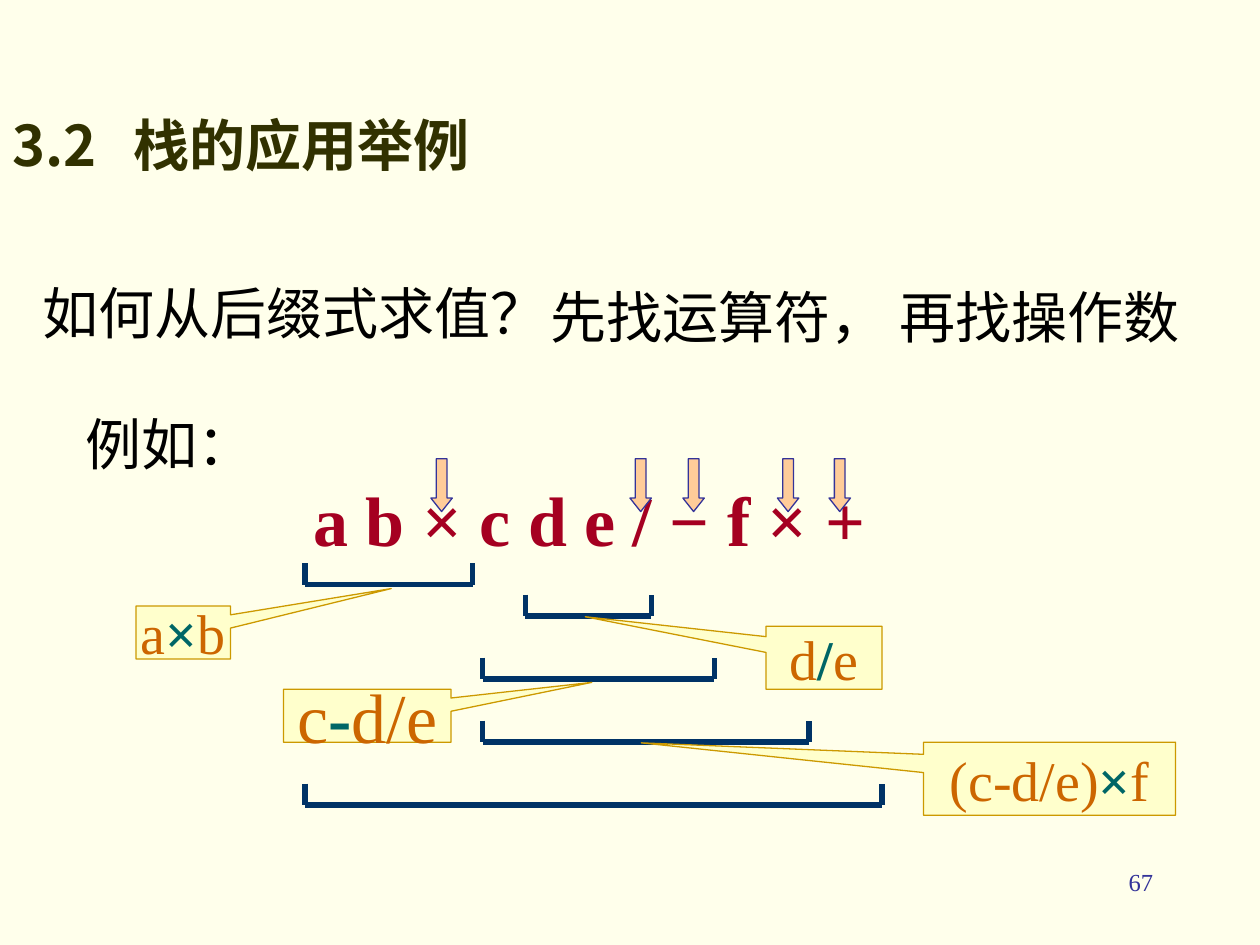
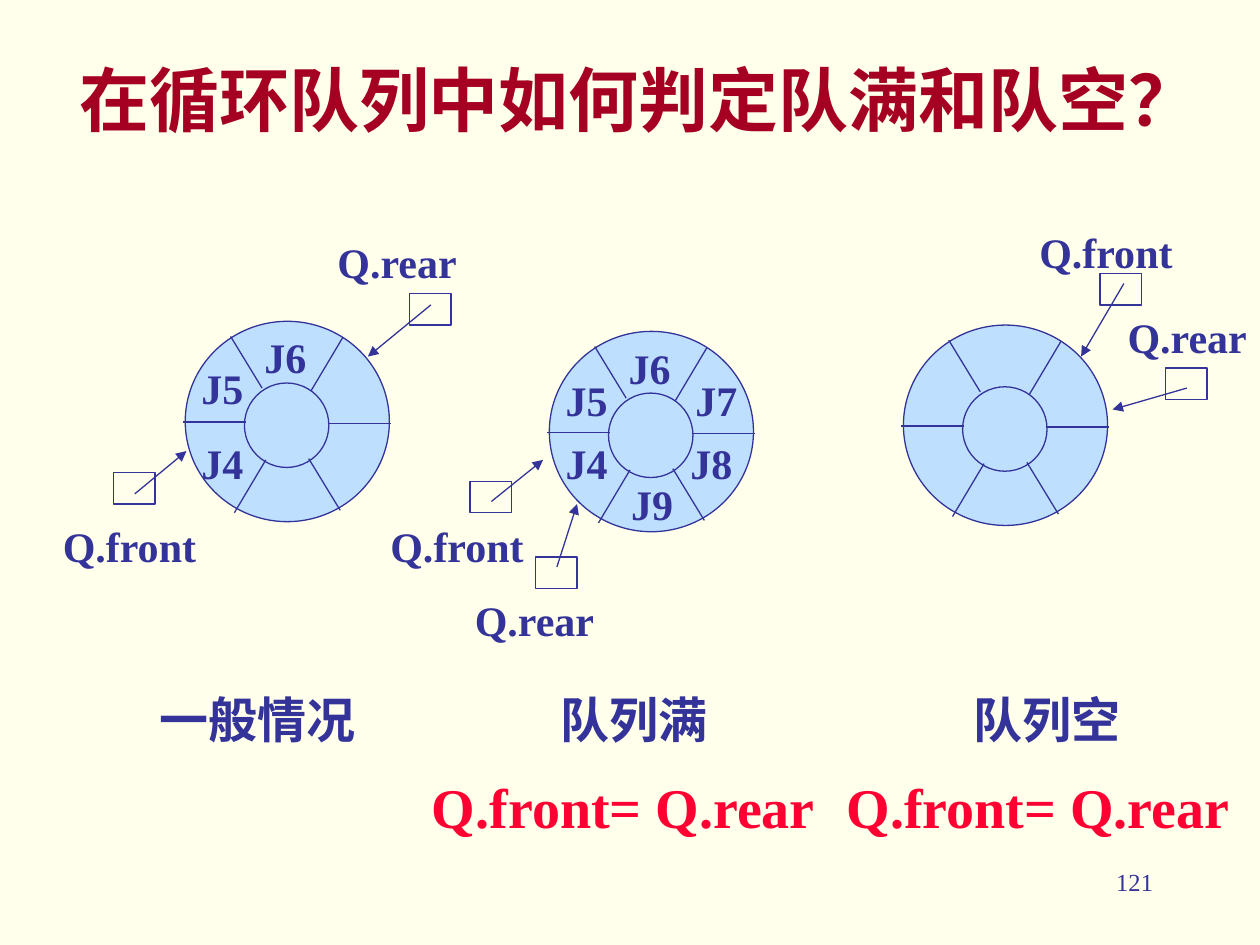
from pptx import Presentation
from pptx.dml.color import RGBColor
from pptx.enum import shapes, text
from pptx.oxml.ns import qn
from pptx.util import Inches, Pt
from lxml import etree

SERIF, SANS = "Times New Roman", "Noto Sans CJK SC"
COLORS = {
    "paper": "FFFFEB", "navy": "333399", "black": "000000", "crimson": "A50021",
    "olive": "313100", "bracket": "003366", "note": "FFFFCC", "note_edge": "CC9900",
    "operand": "CC6600", "operator": "006666", "arrow": "FFCC99",
    "ring": "BEE0FE", "red": "FF0033",
}
LEFT, CENTER, RIGHT = text.PP_ALIGN.LEFT, text.PP_ALIGN.CENTER, text.PP_ALIGN.RIGHT

# Slide 1: postfix evaluation
SECTION = "3.2\t栈的应用举例"
QUESTION = "如何从后缀式求值？"
ANSWER = "先找运算符， 再找操作数"
EXAMPLE = "例如："
POSTFIX = "a b × c d e / − f × +"
BRACKETS = [  # left, right; each one sits lower than the one before
    (2.42, 3.75), (4.17, 5.17), (3.83, 5.67), (3.83, 6.42), (2.42, 7.0)]
BRACKET_BASE, BRACKET_STEP, BRACKET_HEIGHT = 4.64, 0.44, 0.17
BRACKET_BASES = [4.64, 4.89, 5.39, 5.89, 6.39]
OPERATOR_ARROWS = [3.42, 5.0, 5.42, 6.17, 6.58]
PARTIAL_RESULTS = [  # before, operator, after, box, pointer, size
    ("a", "×", "b", (1.08, 4.81, 0.75, 0.42), (2.2, -0.83), 32),
    ("d", "/", "e", (6.08, 4.97, 0.92, 0.5), (-2.06, -0.65), 32),
    ("c", "-", "d/e", (2.25, 5.47, 1.33, 0.42), (1.34, -0.63), 40),
    ("(c-d/e)", "×", "f", (7.33, 5.89, 2, 0.58), (-1.62, -0.49), 32),
]

# Slide 2: circular queue
QUEUE_TITLE = "在循环队列中如何判定队满和队空？"
SPOKES = [  # relative to the ring's corner
    ((-0.02, 0.8), (0.48, 0.8)), ((1.13, 0.81), (1.63, 0.81)),
    ((0.36, 0.12), (0.61, 0.53)), ((1.25, 0.13), (1.0, 0.55)),
    ((0.64, 1.1), (0.39, 1.52)), ((0.98, 1.09), (1.23, 1.5)),
]
RINGS = [  # jobs are relative to the corner, pointers are on the slide
    {"corner": (1.47, 2.55),
     "jobs": [("J5", 0.03, 0.28), ("J6", 0.53, 0.03), ("J4", 0.03, 0.87)],
     "pointers": [
         ("Q.front", (0.4, 4.08), (0.9, 3.75), (1.07, 3.92), (1.48, 3.58)),
         ("Q.rear", (2.58, 1.83), (3.25, 2.33), (3.42, 2.42), (2.92, 2.83))]},
    {"corner": (4.36, 2.63),
     "jobs": [("J5", 0.03, 0.29), ("J6", 0.53, 0.04), ("J7", 1.06, 0.29),
              ("J8", 1.02, 0.79), ("J9", 0.55, 1.12), ("J4", 0.03, 0.79)],
     "pointers": [
         ("Q.front", (3.0, 4.08), (3.73, 3.82), (3.9, 3.98), (4.31, 3.65)),
         ("Q.rear", (3.67, 4.67), (4.25, 4.42), (4.42, 4.5), (4.58, 4.0))]},
    {"corner": (7.17, 2.58),
     "jobs": [],
     "pointers": [
         ("Q.front", (8.15, 1.75), (8.73, 2.17), (8.92, 2.25), (8.58, 2.83)),
         ("Q.rear", (8.85, 2.42), (9.25, 2.92), (9.42, 3.08), (8.83, 3.25))]},
]
LABEL_WIDTHS = {"Q.front": 1.27, "Q.rear": 1.15}
GENERAL_CASE = "一般情况"
BOUNDARY_CASES = [("队列满", (3.33, 5.42, 3.4, 1.37)),
                  ("队列空", (6.62, 5.42, 3.38, 1.37))]
CONDITION = "Q.front= Q.rear"


def color(name):
    return RGBColor.from_string(COLORS[name])


def write(paragraph, words, size=24, ink="navy", bold=False, font=SERIF):
    run = paragraph.add_run()
    run.text = words
    run.font.size, run.font.bold, run.font.name = Pt(size), bold, font
    run.font.color.rgb = color(ink)
    east_asian = etree.SubElement(run.font._element, qn("a:ea"))
    east_asian.set("typeface", SANS)


def add_text(slide, words, at, align=LEFT, wrap=True, grow=True,
             anchor=text.MSO_ANCHOR.TOP, tab=None, **style):
    box = slide.shapes.add_textbox(*map(Inches, at))
    frame = box.text_frame
    frame.word_wrap, frame.vertical_anchor = wrap, anchor
    frame.auto_size = (text.MSO_AUTO_SIZE.SHAPE_TO_FIT_TEXT if grow
                       else text.MSO_AUTO_SIZE.NONE)
    paragraph = frame.paragraphs[0]
    paragraph.alignment = align
    if tab:
        stops = etree.SubElement(paragraph._p.get_or_add_pPr(), qn("a:tabLst"))
        etree.SubElement(stops, qn("a:tab"), pos=str(Inches(tab)), algn="l")
    write(paragraph, words, **style)
    return frame


def add_shape(slide, kind, at, fill=None, edge="navy"):
    shape = slide.shapes.add_shape(kind, *map(Inches, at))
    shape.shadow.inherit = False
    if fill:
        shape.fill.solid()
        shape.fill.fore_color.rgb = color(fill)
    else:
        shape.fill.background()
    shape.line.color.rgb, shape.line.width = color(edge), Pt(0.75)
    return shape


def add_line(slide, start, end, ink="navy", width=0.75, arrow=False):
    line = slide.shapes.add_connector(
        shapes.MSO_CONNECTOR.STRAIGHT, *map(Inches, (*start, *end)))
    line.line.color.rgb, line.line.width = color(ink), Pt(width)
    if arrow:
        etree.SubElement(line.line._get_or_add_ln(), qn("a:tailEnd"), type="triangle")
    etree.SubElement(line._element.spPr, qn("a:effectLst"))


def add_page(deck, number):
    slide = deck.slides.add_slide(deck.slide_layouts[6])
    slide.background.fill.solid()
    slide.background.fill.fore_color.rgb = color("paper")
    add_text(slide, number, (7.17, 6.83, 2.08, 0.5), align=RIGHT, grow=False, size=14)
    return slide


def add_bracket(slide, left, right, base):
    top = base - BRACKET_HEIGHT
    corners = [(left, top), (left, base), (right, base), (right, top)]
    for start, end in zip(corners, corners[1:]):
        add_line(slide, start, end, ink="bracket", width=3)


def add_partial_result(slide, before, operator, after, at, pointer, size):
    callout = add_shape(slide, shapes.MSO_SHAPE.RECTANGULAR_CALLOUT, at,
                        "note", "note_edge")
    callout.adjustments[0], callout.adjustments[1] = pointer
    frame = callout.text_frame
    frame.word_wrap, frame.vertical_anchor = False, text.MSO_ANCHOR.MIDDLE
    paragraph = frame.paragraphs[0]
    paragraph.alignment = CENTER
    write(paragraph, before, size=size, ink="operand")
    write(paragraph, operator, size=size, ink="operator", bold=True)
    write(paragraph, after, size=size, ink="operand")


def add_ring(slide, corner, jobs, pointers):
    x, y = corner
    oval = shapes.MSO_SHAPE.OVAL
    add_shape(slide, oval, (x, y, 1.62, 1.59), "ring")
    add_shape(slide, oval, (x + 0.47, y + 0.49, 0.67, 0.67), "ring")
    for start, end in SPOKES:
        add_line(slide, *[(x + dx, y + dy) for dx, dy in (start, end)])
    for job, dx, dy in jobs:
        add_text(slide, job, (x + dx, y + dy, 0.75, 0.5), bold=True)
    for label, label_at, cell_at, start, tip in pointers:
        add_shape(slide, shapes.MSO_SHAPE.RECTANGLE, (*cell_at, 0.33, 0.25))
        add_line(slide, start, tip, arrow=True)
        add_text(slide, label, (*label_at, LABEL_WIDTHS[label], 0.5),
                 wrap=False, bold=True)


def build_postfix(deck):
    slide = add_page(deck, "67")
    add_text(slide, QUESTION, (0.24, 2.1, 5.63, 0.76), grow=False,
             anchor=text.MSO_ANCHOR.MIDDLE, size=32, ink="black")
    add_text(slide, ANSWER, (4.27, 2.19, 5.73, 0.65), size=32, ink="black")
    example = add_text(slide, EXAMPLE, (0.58, 3.2, 6.42, 1.31), size=32, ink="black")
    postfix = example.add_paragraph()
    postfix._p.get_or_add_pPr().set("marL", str(Inches(1.81)))
    write(postfix, POSTFIX, size=40, ink="crimson", bold=True)
    for (left, right), base in zip(BRACKETS, BRACKET_BASES):
        add_bracket(slide, left, right, base)
    for result in PARTIAL_RESULTS:
        add_partial_result(slide, *result)
    for left in OPERATOR_ARROWS:
        arrow = add_shape(slide, shapes.MSO_SHAPE.DOWN_ARROW,
                          (left, 3.64, 0.17, 0.42), "arrow")
        arrow.adjustments[1] = 0.63
    add_text(slide, SECTION, (0, 0.83, 4.04, 0.64), wrap=False, tab=0.96,
             size=32, ink="olive", bold=True, font=SANS)


def build_queue(deck):
    slide = add_page(deck, "121")
    add_text(slide, QUEUE_TITLE, (0.32, 0.4, 9.5, 0.77), align=CENTER,
             size=40, ink="crimson", bold=True)
    for ring in RINGS:
        add_ring(slide, **ring)
    add_text(slide, GENERAL_CASE, (1.17, 5.42, 1.92, 0.57), size=28, bold=True)
    for case, at in BOUNDARY_CASES:
        frame = add_text(slide, case, at, align=CENTER, size=28, bold=True)
        condition = frame.add_paragraph()
        condition.space_before = Pt(14)
        write(condition, CONDITION, size=32, ink="red", bold=True)


def main():
    deck = Presentation()
    deck.slide_width, deck.slide_height = Inches(10), Inches(7.5)
    build_postfix(deck)
    build_queue(deck)
    deck.save("out.pptx")


if __name__ == "__main__":
    main()
